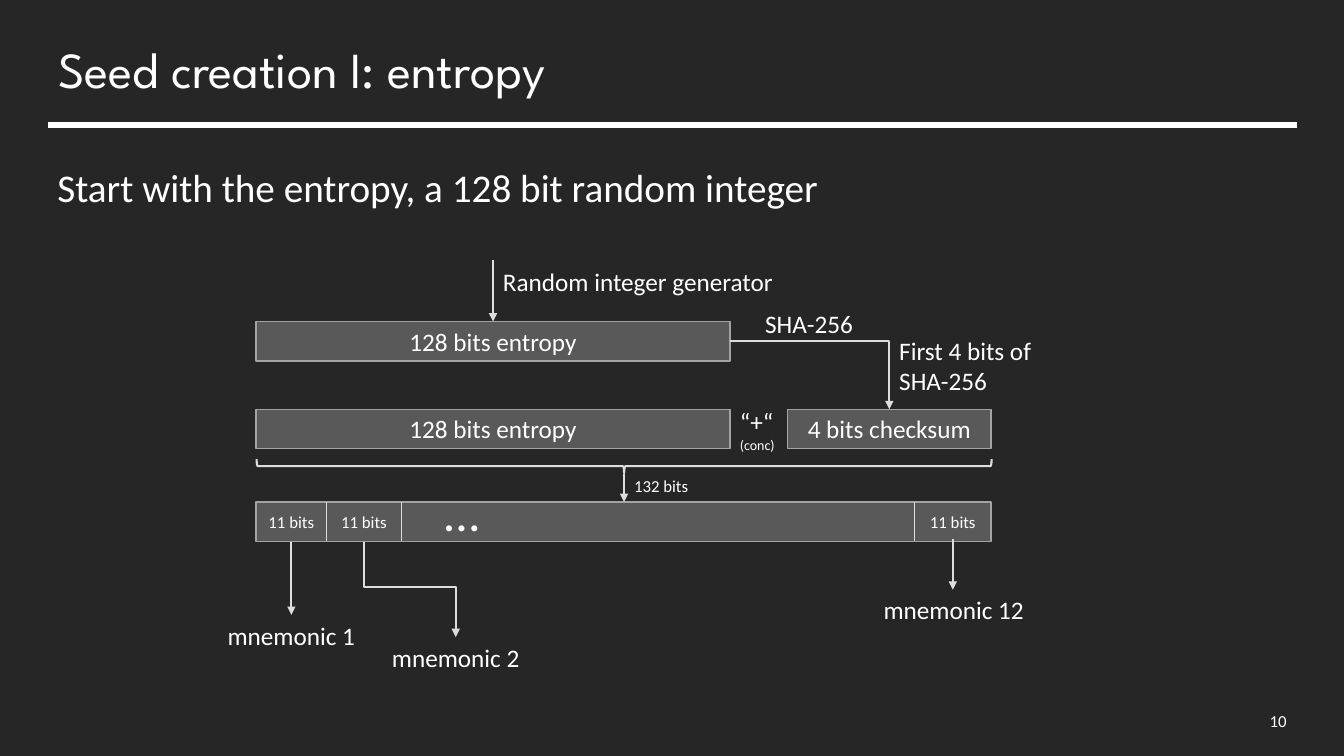
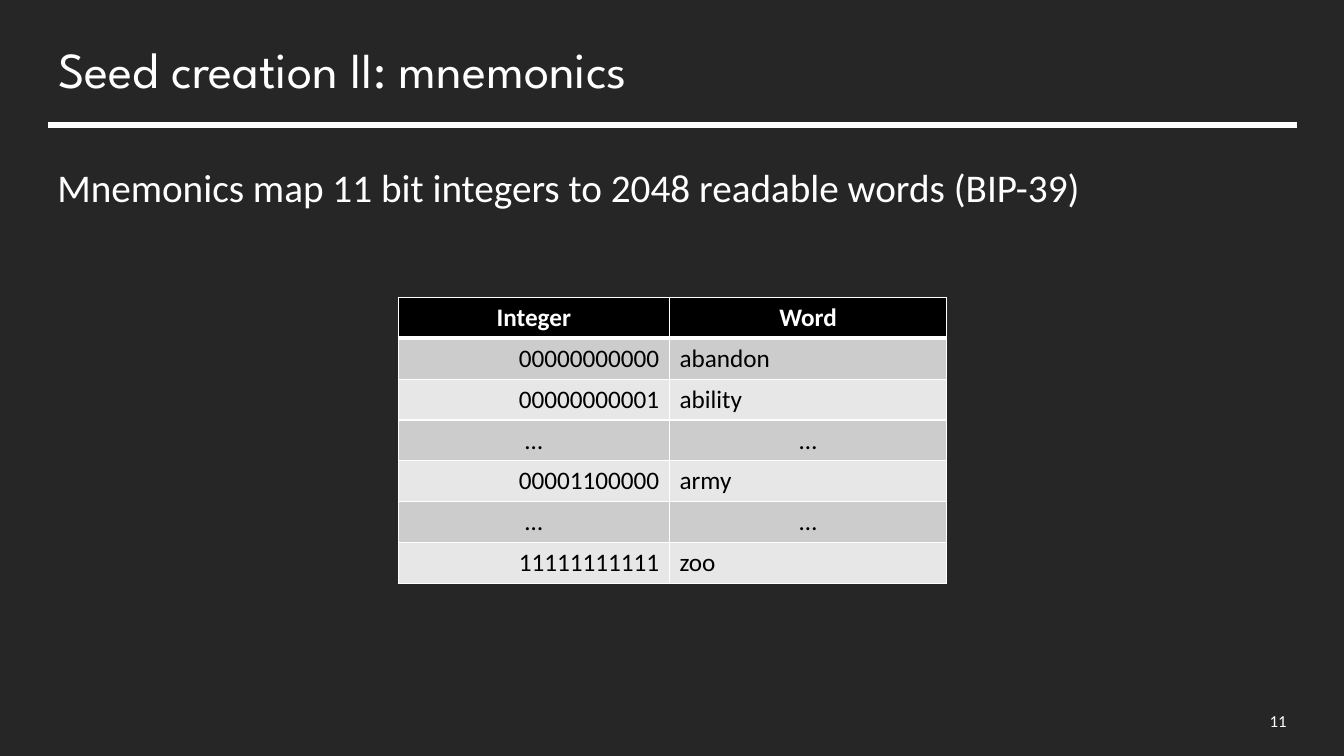
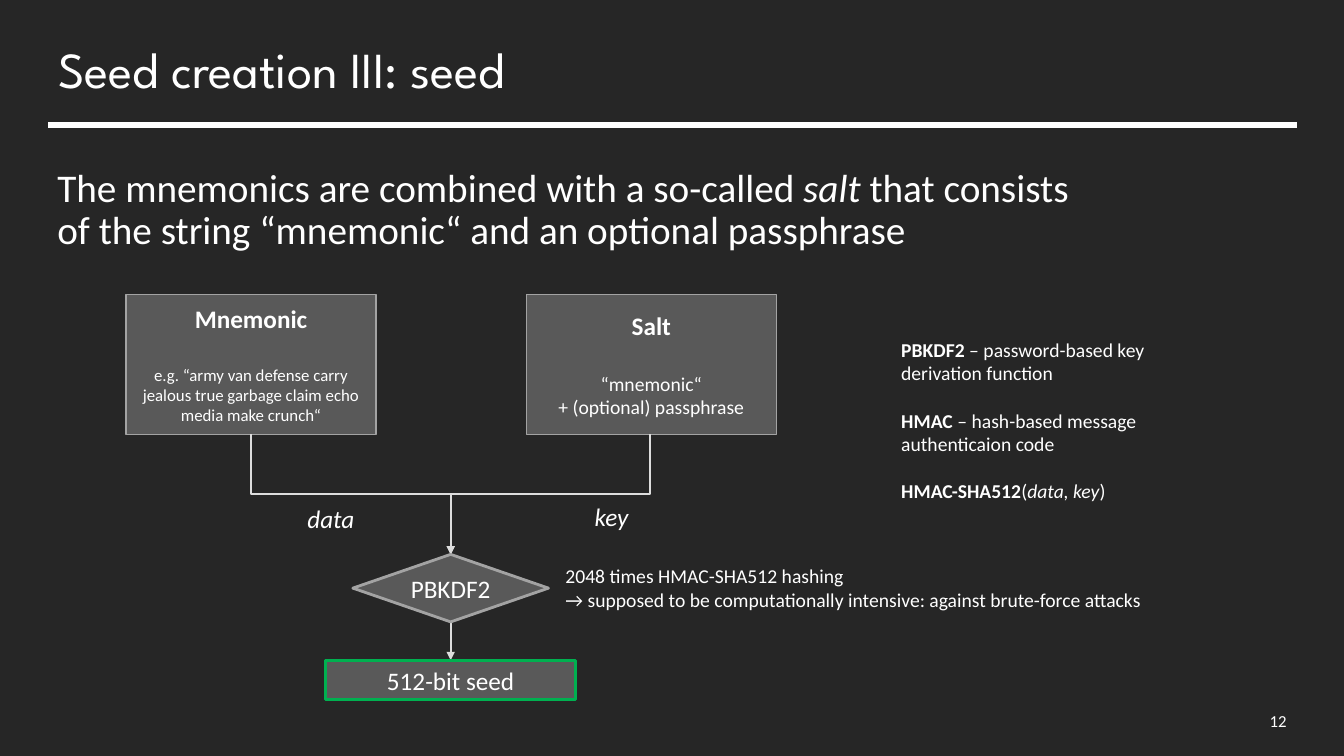
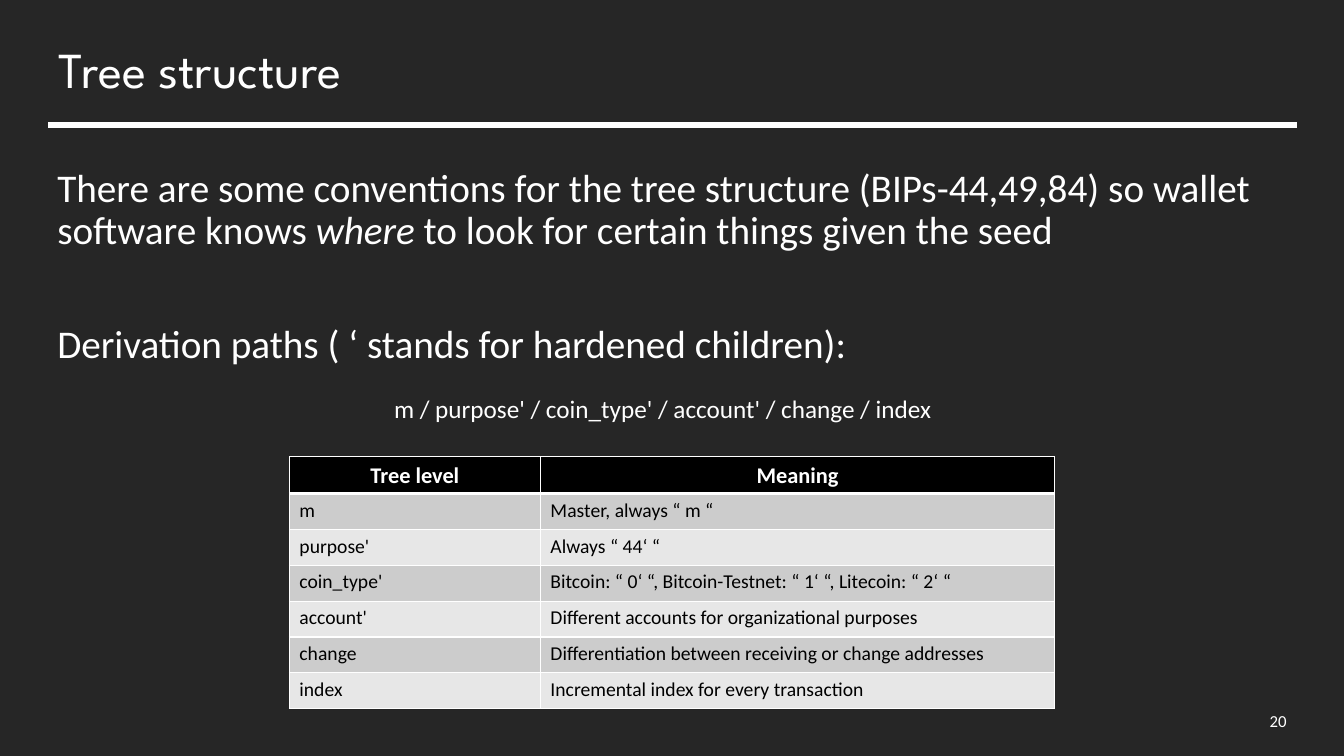
from dataclasses import dataclass
from typing import Optional

from lxml import etree
from pptx import Presentation
from pptx.dml.color import RGBColor
from pptx.enum.shapes import MSO_CONNECTOR, MSO_SHAPE
from pptx.enum.text import MSO_ANCHOR, PP_ALIGN
from pptx.oxml.ns import qn
from pptx.util import Emu, Pt

# Shared style: 100 px make one inch
PX = 9144
BACKGROUND = RGBColor(0x26, 0x26, 0x26)
WHITE = RGBColor(0xFF, 0xFF, 0xFF)
BLACK = RGBColor(0x00, 0x00, 0x00)
BOX_FILL = RGBColor(0x59, 0x59, 0x59)
BOX_LINE = RGBColor(0xA3, 0xA3, 0xA3)
ARROW = RGBColor(0xDD, 0xDD, 0xDD)
GREEN = RGBColor(0x00, 0xB0, 0x50)
BANDS = (RGBColor(0xE7, 0xE7, 0xE7), RGBColor(0xCC, 0xCC, 0xCC))
BODY_FONT = "Calibri"
TITLE_FONT = "League Spartan"
LEFT, CENTER, RIGHT = PP_ALIGN.LEFT, PP_ALIGN.CENTER, PP_ALIGN.RIGHT


@dataclass
class Para:
    """Spans are plain strings or (text, "b" or "i") pairs."""
    spans: list
    size: int = 18
    align: PP_ALIGN = LEFT
    before: int = 0
    spacing: Optional[float] = None
    font: str = BODY_FONT
    color: RGBColor = WHITE


def px(*lengths):
    return [Emu(round(length * PX)) for length in lengths]


# Text
def write(frame, paras):
    for number, para in enumerate(paras):
        paragraph = frame.paragraphs[0] if number == 0 else frame.add_paragraph()
        paragraph.alignment = para.align
        if para.before:
            paragraph.space_before = Pt(para.before)
        if para.spacing:
            paragraph.line_spacing = para.spacing
        for span in para.spans:
            text, style = (span, "") if isinstance(span, str) else span
            run = paragraph.add_run()
            run.text = text
            run.font.name = para.font
            run.font.size = Pt(para.size)
            run.font.color.rgb = para.color
            run.font.bold = style == "b"
            run.font.italic = style == "i"


def add_text(page, x, y, width, height, *paras, anchor=MSO_ANCHOR.TOP):
    frame = page.shapes.add_textbox(*px(x, y, width, height)).text_frame
    frame.word_wrap = True
    frame.vertical_anchor = anchor
    write(frame, paras)


def add_label(page, x, y, width, text, size=18, align=LEFT, style=""):
    add_text(page, x, y, width, 40, Para([(text, style)], size, align))


def add_body(page, *paras, width=1059, height=100):
    for para in paras:
        para.size, para.spacing = 28, 0.9
    add_text(page, 47, 162, width, height, *paras)


# Shapes and lines
def add_box(page, x, y, width, height, *paras, kind=MSO_SHAPE.RECTANGLE,
            line=BOX_LINE, weight=1):
    box = page.shapes.add_shape(kind, *px(x, y, width, height))
    box.shadow.inherit = False
    box.fill.solid()
    box.fill.fore_color.rgb = BOX_FILL
    box.line.color.rgb = line
    box.line.width = Pt(weight)
    box.text_frame.word_wrap = True
    box.text_frame.vertical_anchor = MSO_ANCHOR.MIDDLE
    write(box.text_frame, paras)
    return box


def add_line(page, x1, y1, x2, y2, color=ARROW, weight=1.5, arrow=False,
             kind=MSO_CONNECTOR.STRAIGHT):
    connector = page.shapes.add_connector(kind, *px(x1, y1, x2, y2))
    connector.line.color.rgb = color
    connector.line.width = Pt(weight)
    properties = connector._element.spPr
    if arrow:
        etree.SubElement(properties.find(qn("a:ln")), qn("a:tailEnd"), type="triangle")
    etree.SubElement(properties, qn("a:effectLst"))
    return properties


def add_arrow(page, x1, y1, x2, y2):
    add_line(page, x1, y1, x2, y2, arrow=True)


def add_corner_arrow(page, x1, y1, x2, y2):
    """Runs across, then down."""
    properties = add_line(page, x1, y1, x2, y2, arrow=True, kind=MSO_CONNECTOR.ELBOW)
    properties.find(qn("a:prstGeom")).set("prst", "bentConnector2")


def add_step_arrow(page, x1, y1, x2, y2):
    """Runs down, across at half height, and down again: a turned elbow."""
    across, down = abs(x2 - x1), y2 - y1
    left = (x1 + x2 - down) / 2
    top = (y1 + y2 - across) / 2
    properties = add_line(page, left, top, left + down, top + across,
                          arrow=True, kind=MSO_CONNECTOR.ELBOW)
    frame = properties.find(qn("a:xfrm"))
    if x2 > x1:
        frame.set("rot", "16200000")
        frame.set("flipH", "1")
    else:
        frame.set("rot", "5400000")


# Tables
def set_borders(cell, top, bottom):
    borders = (("a:lnL", 1), ("a:lnR", 1), ("a:lnT", top), ("a:lnB", bottom))
    for place, (tag, weight) in enumerate(borders):
        border = etree.Element(qn(tag), w=str(Pt(weight)))
        fill = etree.SubElement(border, qn("a:solidFill"))
        etree.SubElement(fill, qn("a:srgbClr"), val=str(WHITE))
        cell._tc.get_or_add_tcPr().insert(place, border)


def add_table(page, x, y, widths, height, rows, aligns, head_size, size):
    table = page.shapes.add_table(len(rows), len(widths),
                                  *px(x, y, sum(widths), height)).table
    for column, width in zip(table.columns, widths):
        column.width = px(width)[0]
    for r, row in enumerate(rows):
        for c, text in enumerate(row):
            cell = table.cell(r, c)
            cell.fill.solid()
            if r == 0:
                cell.fill.fore_color.rgb = BLACK
                para = Para([(text, "b")], head_size, CENTER)
            else:
                cell.fill.fore_color.rgb = BANDS[r % 2]
                align = CENTER if text == "…" else aligns[c]
                para = Para([text], size, align, color=BLACK)
            write(cell.text_frame, [para])
            set_borders(cell, 3 if r == 1 else 1, 3 if r == 0 else 1)


# Slides
def add_page(deck, title, number):
    page = deck.slides.add_slide(deck.slide_layouts[6])
    page.background.fill.solid()
    page.background.fill.fore_color.rgb = BACKGROUND
    add_line(page, 48, 124, 1286, 124, WHITE, 4.5)
    add_text(page, 48, 40, 1237, 70, Para([title], 36, spacing=0.9, font=TITLE_FONT))
    add_text(page, 1179, 695, 107, 40, Para([str(number)], 12, RIGHT),
             anchor=MSO_ANCHOR.MIDDLE)
    return page


def entropy_page(deck):
    page = add_page(deck, "Seed creation I: entropy", 10)
    add_body(page, Para(["Start with the entropy, a 128 bit random integer"]))

    # Entropy and checksum
    for y in (319, 406):
        add_box(page, 254, y, 470, 39, Para(["128 bits entropy"], align=CENTER))
    add_box(page, 781, 406, 202, 39, Para(["4 bits checksum"], align=CENTER))
    add_arrow(page, 489, 258, 489, 319)
    add_label(page, 489, 259, 321, "Random integer generator")
    add_corner_arrow(page, 724, 338, 882, 406)
    add_label(page, 749, 301, 118, "SHA-256")
    add_label(page, 882, 328, 172, "First 4 bits of SHA-256")
    add_text(page, 724, 398, 56, 57, Para(["“+“"]), Para(["(conc)"], 10))

    # Brace over the joined bits
    brace = add_box(page, 612, 98, 14, 729, kind=MSO_SHAPE.RIGHT_BRACE,
                    line=ARROW, weight=1.5)
    brace.fill.background()
    brace.rotation = 90
    add_label(page, 619, 467, 100, "132 bits", 12)

    # Strip of 11 bit parts
    add_arrow(page, 289, 533, 289, 610)
    add_step_arrow(page, 361, 533, 452, 632)
    add_box(page, 254, 498, 729, 39)
    add_arrow(page, 619, 470, 619, 498)
    for x in (324, 398, 907):
        add_line(page, x, 498, x, 537, weight=0.5)
    for start, end in ((254, 324), (324, 398), (907, 983)):
        add_label(page, start, 503, end - start, "11 bits", 12, CENTER)
    add_label(page, 431, 472, 58, "…", 36)
    add_arrow(page, 945, 535, 945, 585)

    # Mnemonics
    for number, center, y in ((1, 289, 610), (2, 452, 632), (12, 946, 585)):
        add_label(page, center - 93, y, 186, f"mnemonic {number}", align=CENTER)


def mnemonics_page(deck):
    page = add_page(deck, "Seed creation II: mnemonics", 11)
    add_body(page, Para(["Mnemonics map 11 bit integers to 2048 readable words (BIP-39)"]))
    rows = [
        ("Integer", "Word"),
        ("00000000000", "abandon"),
        ("00000000001", "ability"),
        ("…", "…"),
        ("00001100000", "army"),
        ("…", "…"),
        ("11111111111", "zoo"),
    ]
    add_table(page, 395, 295, (269, 275), 284, rows, (RIGHT, LEFT), 18, 18)


def seed_page(deck):
    page = add_page(deck, "Seed creation III: seed", 12)
    add_body(page, Para(["The mnemonics are combined with a so-called ", ("salt ", "i"),
                         "that consists of the string “mnemonic“ and an optional passphrase"]))

    # Inputs
    add_box(page, 125, 292, 248, 139, Para([("Mnemonic", "b")], align=CENTER),
            Para(["e.g. “army van defense carry jealous true garbage claim echo "
                  "media make crunch“"], 12, CENTER, before=22))
    add_box(page, 522, 292, 248, 139, Para([("Salt", "b")], align=CENTER),
            Para(["“mnemonic“"], 14, CENTER, before=22),
            Para(["+ (optional) passphrase"], 14, CENTER))
    for x in (249, 645):
        add_step_arrow(page, x, 431, 447, 550)
    add_label(page, 295, 494, 87, "data", style="i")
    add_label(page, 580, 492, 87, "key", style="i")

    # Key derivation
    add_arrow(page, 447, 617, 447, 655)
    decision = add_box(page, 350, 550, 194, 67, Para(["PBKDF2"], align=CENTER),
                       kind=MSO_SHAPE.FLOWCHART_DECISION, weight=2)
    decision.text_frame.margin_left = decision.text_frame.margin_right = 0
    add_box(page, 323, 655, 248, 39, Para(["512-bit seed"], align=CENTER),
            line=GREEN, weight=2)
    add_text(page, 551, 555, 650, 57, Para(["2048 times HMAC-SHA512 hashing"], 14),
             Para(["→ supposed to be computationally intensive: "
                   "against brute-force attacks"], 14))

    # Glossary
    add_text(page, 884, 330, 270, 175,
             Para([("PBKDF2", "b"), " – password-based key derivation function"], 14),
             Para([("HMAC ", "b"), "– hash-based message authenticaion code"], 14, before=17),
             Para([("HMAC-SHA512", "b"), "(", ("data, key", "i"), ")"], 14, before=17))


def tree_page(deck):
    page = add_page(deck, "Tree structure", 20)
    add_body(page,
             Para(["There are some conventions for the tree structure (BIPs-44,49,84) "
                   "so wallet software knows ", ("where ", "i"),
                   "to look for certain things given the seed"]),
             Para(["Derivation paths ( ‘ stands for hardened children):"], before=51),
             width=1237, height=301)
    add_label(page, 381, 385, 573, "m / purpose' / coin_type' / account' / change / index")
    rows = [
        ("Tree level", "Meaning"),
        ("m", "Master, always “ m “"),
        ("purpose'", "Always “ 44‘ “"),
        ("coin_type'", "Bitcoin: “ 0‘ “, Bitcoin-Testnet: “ 1‘ “, Litecoin: “ 2‘ “"),
        ("account'", "Different accounts for organizational purposes"),
        ("change", "Differentiation between receiving or change addresses"),
        ("index", "Incremental index for every transaction"),
    ]
    add_table(page, 287, 453, (249, 510), 249, rows, (LEFT, LEFT), 16, 14)


def main():
    deck = Presentation()
    deck.slide_width, deck.slide_height = px(1333, 750)
    for build in (entropy_page, mnemonics_page, seed_page, tree_page):
        build(deck)
    deck.save("out.pptx")


if __name__ == "__main__":
    main()
